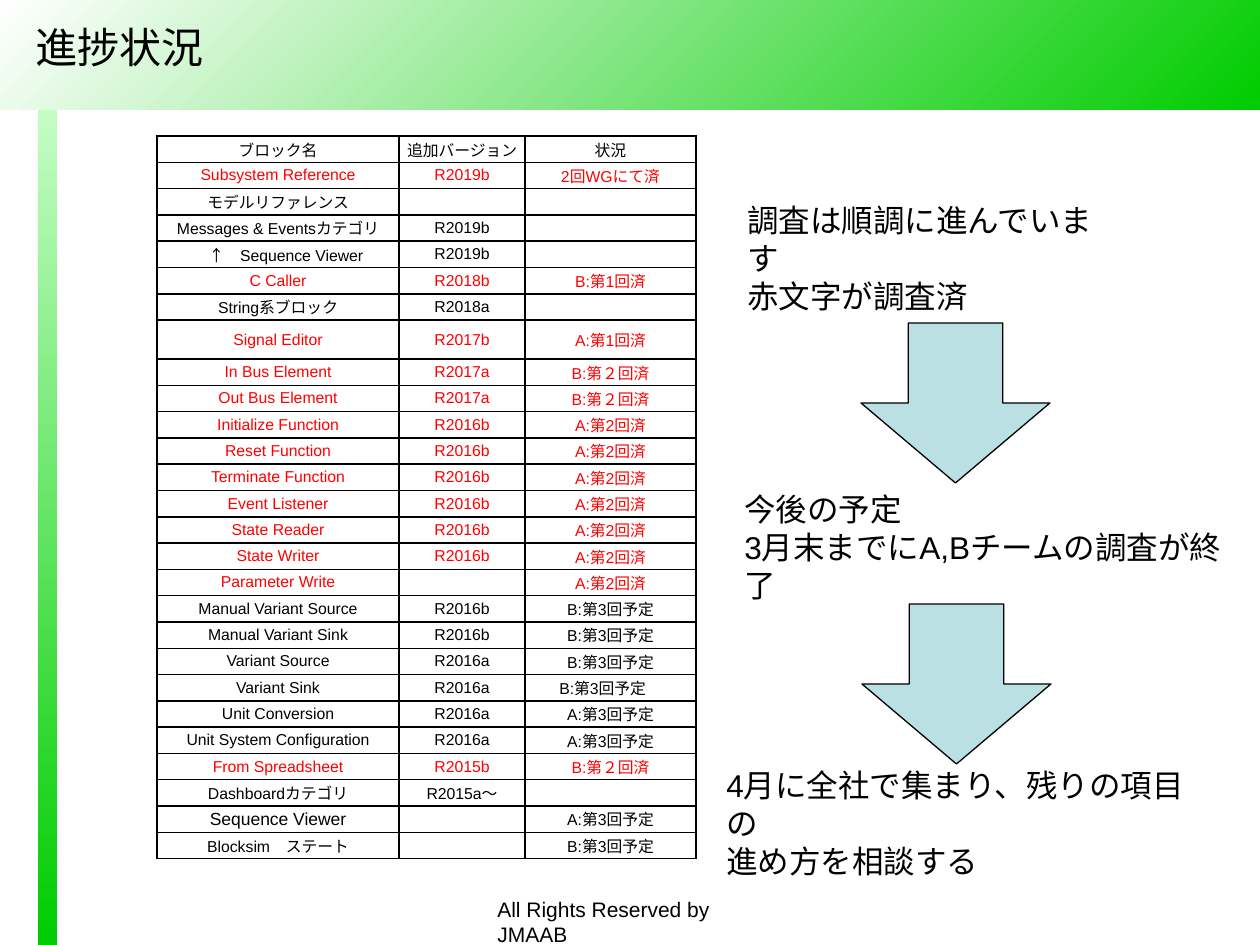
"""Build the progress slide: a table of blocks beside three steps joined by arrows."""
from lxml.etree import SubElement
from pptx import Presentation
from pptx.dml.color import RGBColor
from pptx.enum.shapes import MSO_SHAPE
from pptx.enum.text import MSO_ANCHOR, PP_ALIGN
from pptx.oxml.ns import qn
from pptx.util import Emu, Pt

LATIN, CJK = "Arial", "Noto Sans CJK JP"
BLACK, RED, GREEN = "000000", "FF0000", "00CC00"
COLUMNS = [242, 126, 171]
TALL_ROW, TALL_HEIGHT, OTHER_HEIGHTS = 7, 39, 684
BLOCKS = [
    ("ブロック名", "追加バージョン", "状況"),
    ("Subsystem Reference", "R2019b", "2回WGにて済"),
    ("モデルリファレンス", "", ""),
    ("Messages & Eventsカテゴリ", "R2019b", ""),
    ("　↑　Sequence Viewer", "R2019b", ""),
    ("C Caller", "R2018b", "B:第1回済"),
    ("String系ブロック", "R2018a", ""),
    ("Signal Editor", "R2017b", "A:第1回済"),
    ("In Bus Element", "R2017a", "B:第２回済"),
    ("Out Bus Element", "R2017a", "B:第２回済"),
    ("Initialize Function", "R2016b", "A:第2回済"),
    ("Reset Function", "R2016b", "A:第2回済"),
    ("Terminate Function", "R2016b", "A:第2回済"),
    ("Event Listener", "R2016b", "A:第2回済"),
    ("State Reader", "R2016b", "A:第2回済"),
    ("State Writer", "R2016b", "A:第2回済"),
    ("Parameter Write", "", "A:第2回済"),
    ("Manual Variant Source", "R2016b", "B:第3回予定"),
    ("Manual Variant Sink", "R2016b", "B:第3回予定"),
    ("Variant Source", "R2016a", "B:第3回予定"),
    ("Variant Sink", "R2016a", "B:第3回予定　"),
    ("Unit Conversion", "R2016a", "A:第3回予定"),
    ("Unit System Configuration", "R2016a", "A:第3回予定"),
    ("From Spreadsheet", "R2015b", "B:第２回済"),
    ("Dashboardカテゴリ", "R2015a～", ""),
    ("Sequence Viewer", "", "A:第3回予定"),
    ("Blocksim　ステート", "", "B:第3回予定"),
]
STEPS = [
    (735, 195, 394, 126, "調査は順調に進んでいます\n赤文字が調査済"),
    (732, 484, 527, 126, "今後の予定\n3月末までにA,Bチームの調査が終了"),
    (714, 760, 485, 126, "4月に全社で集まり、残りの項目の\n進め方を相談する"),
]
ARROWS = [(861, 323), (862, 604)]


def px(n):
    """Turn pixels into EMU."""
    return Emu(round(n * 914400 / 126))


def rgb(value):
    """Turn a hex string into a colour."""
    return RGBColor.from_string(value)


def write(tf, text, size=18, color=BLACK, font=LATIN, align=PP_ALIGN.LEFT):
    """Fill a text frame, one paragraph for each line of text."""
    for i, line in enumerate(text.split("\n")):
        p = tf.paragraphs[0] if i == 0 else tf.add_paragraph()
        p.alignment = align
        if not line:
            SubElement(p._p, qn("a:endParaRPr"), sz=str(size * 100))
            continue
        r = p.add_run()
        r.text = line
        r.font.size = Pt(size)
        r.font.name = font
        r.font.color.rgb = rgb(color)
        SubElement(r.font._element, qn("a:ea"), typeface=CJK)


def add_text(s, x, y, w, h, text, **fmt):
    """Add a wrapping text box."""
    tf = s.shapes.add_textbox(px(x), px(y), px(w), px(h)).text_frame
    tf.word_wrap = True
    write(tf, text, **fmt)


def add_band(s, x, y, w, h, start, end, angle):
    """Add a gradient band with a clockwise angle."""
    sp = s.shapes.add_shape(MSO_SHAPE.RECTANGLE, px(x), px(y), px(w), px(h))
    sp.shadow.inherit = False
    sp.line.fill.background()
    sp.fill.gradient()
    sp.fill.gradient_angle = 360 - angle
    for stop, color in zip(sp.fill.gradient_stops, (start, end)):
        stop.color.rgb = rgb(color)


def add_arrow(s, x, y):
    """Add a block arrow pointing to the next step."""
    sp = s.shapes.add_shape(MSO_SHAPE.DOWN_ARROW, px(x), px(y), px(189), px(160))
    sp.shadow.inherit = False
    sp.fill.solid()
    sp.fill.fore_color.rgb = rgb("BBE0E3")
    sp.line.color.rgb = rgb(BLACK)
    sp.line.width = Pt(0.75)


def add_title(s, text):
    """Place the title in front of the header band."""
    title = s.shapes.title
    title.left, title.top, title.width, title.height = px(23), px(18), px(864), px(58)
    title.text_frame.vertical_anchor = MSO_ANCHOR.MIDDLE
    write(title.text_frame, text, size=24, font=CJK)
    s.shapes._spTree.append(title._element)


def format_cell(cell):
    """Give a cell no fill, no margins and black borders."""
    cell.margin_left = cell.margin_right = cell.margin_top = cell.margin_bottom = 0
    cell.vertical_anchor = MSO_ANCHOR.MIDDLE
    tc_pr = cell._tc.get_or_add_tcPr()
    for side in ("lnL", "lnR", "lnT", "lnB"):
        ln = SubElement(tc_pr, qn(f"a:{side}"), w=str(Pt(1)))
        SubElement(SubElement(ln, qn("a:solidFill")), qn("a:srgbClr"), val=BLACK)
    cell.fill.background()


def add_block_table(s):
    """Add the table of blocks, with investigated rows in red."""
    frame = s.shapes.add_table(len(BLOCKS), len(COLUMNS), px(157), px(136),
                               px(sum(COLUMNS)), px(OTHER_HEIGHTS + TALL_HEIGHT))
    table = frame.table
    table.first_row = table.horz_banding = False
    for column, width in zip(table.columns, COLUMNS):
        column.width = px(width)
    row_height = OTHER_HEIGHTS / (len(BLOCKS) - 1)
    for i, block in enumerate(BLOCKS):
        table.rows[i].height = px(TALL_HEIGHT if i == TALL_ROW else row_height)
        color = RED if "済" in block[2] else BLACK
        for j, text in enumerate(block):
            cell = table.cell(i, j)
            format_cell(cell)
            size = 10 if text == "Sequence Viewer" else 9
            write(cell.text_frame, text, size=size, color=color, align=PP_ALIGN.CENTER)


def main():
    """Build and save the slide."""
    prs = Presentation()
    prs.slide_width, prs.slide_height = px(1260), px(945)
    s = prs.slides.add_slide(prs.slide_layouts[5])
    add_band(s, 38, 76, 19, 869, "CCFFCC", GREEN, 90)
    add_band(s, 0, 0, 1260, 110, "FFFFFF", GREEN, 45)
    add_text(s, 485, 890, 312, 38, "All Rights Reserved by JMAAB", size=12)
    add_title(s, "進捗状況")
    add_block_table(s)
    for step in STEPS:
        add_text(s, *step)
    for arrow in ARROWS:
        add_arrow(s, *arrow)
    prs.save("out.pptx")


if __name__ == "__main__":
    main()
